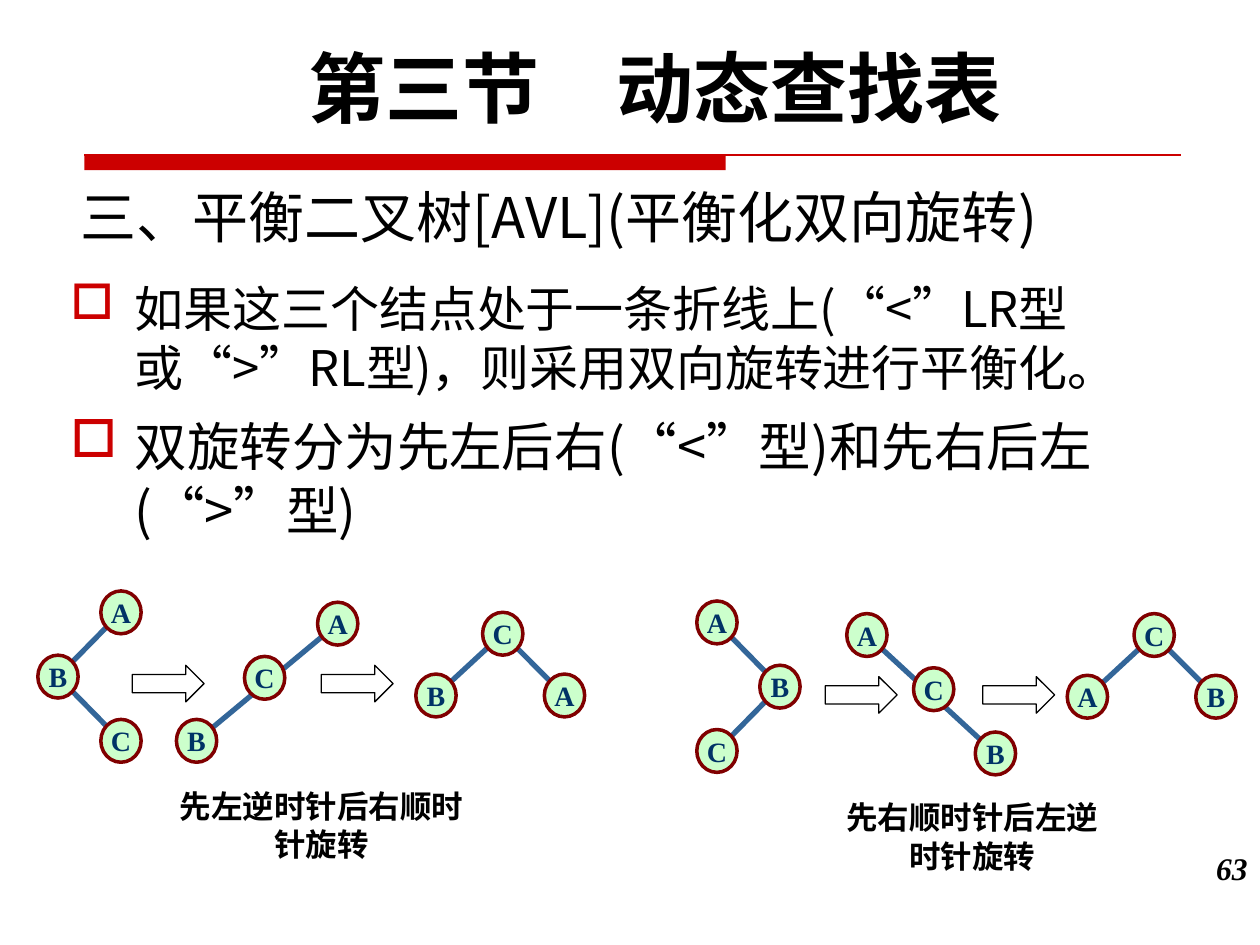
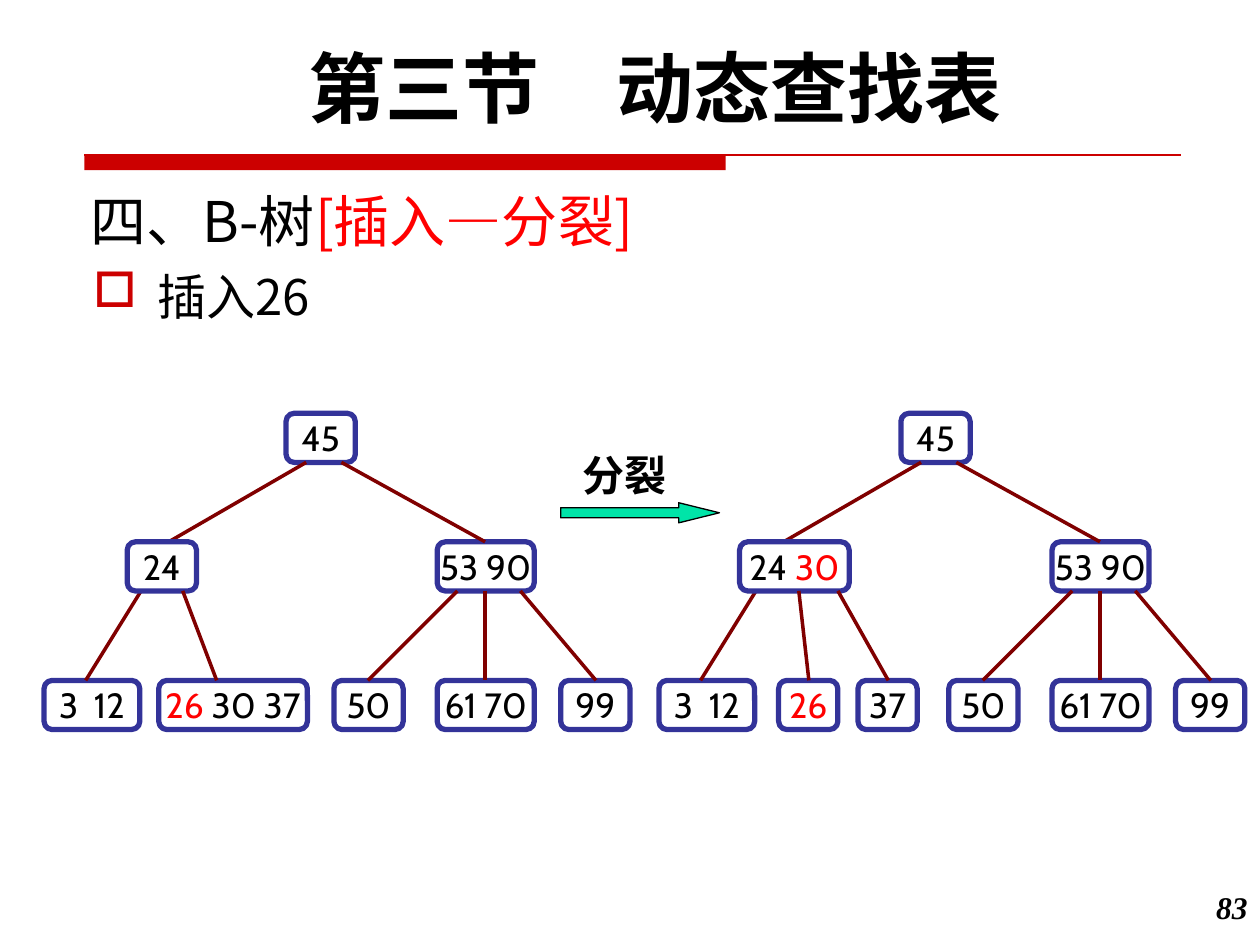
from itertools import groupby
from math import hypot

from lxml import etree
from pptx import Presentation
from pptx.dml.color import RGBColor
from pptx.enum.shapes import MSO_CONNECTOR, MSO_SHAPE
from pptx.enum.text import MSO_ANCHOR, PP_ALIGN
from pptx.oxml.ns import qn
from pptx.util import Inches, Pt

LEFT, CENTER, RIGHT = PP_ALIGN.LEFT, PP_ALIGN.CENTER, PP_ALIGN.RIGHT
TOP, MIDDLE, BOTTOM = MSO_ANCHOR.TOP, MSO_ANCHOR.MIDDLE, MSO_ANCHOR.BOTTOM
OVAL, ARROW = MSO_SHAPE.OVAL, MSO_SHAPE.RIGHT_ARROW
RECT, ROUND = MSO_SHAPE.RECTANGLE, MSO_SHAPE.ROUNDED_RECTANGLE
STRAIGHT = MSO_CONNECTOR.STRAIGHT

# Shared fonts and colours
SANS, SERIF, LABEL = "Noto Sans CJK SC", "Times New Roman", "Cabin"
BLACK, RED, BAND = "000000", "FF0000", "CC0000"
MAROON, MINT, NAVY = "800000", "CCFFCC", "003366"
STEEL, INDIGO, GREEN = "336699", "333399", "00E4A8"

# B-tree rows: top of each level, box height
LEVELS, BOX = (3.28, 4.3, 5.4), 0.39


def color(code):
    return RGBColor.from_string(code)


# Text
def write(par, parts, size, font=SANS, bold=False, italic=False,
          align=LEFT, ratio=None):
    """Fill a paragraph from (text, colour) parts; quotes are set in serif."""
    par.alignment = align
    if ratio:
        par.line_spacing = Pt(round(size * ratio, 1))
    for text, tint in parts:
        for quote, chars in groupby(text, lambda c: c in "“”"):
            run = par.add_run()
            run.text = "".join(chars)
            face = run.font
            face.size, face.bold, face.italic = Pt(size), bold, italic
            face.color.rgb = color(tint)
            face.name = SERIF if quote else font
            east = etree.SubElement(run._r.get_or_add_rPr(), qn("a:ea"))
            east.set("typeface", SANS)


def bullet(par):
    props = par._p.get_or_add_pPr()
    props.set("marL", str(Inches(0.51)))
    props.set("indent", str(Inches(-0.51)))
    tint = etree.SubElement(props, qn("a:buClr"))
    etree.SubElement(tint, qn("a:srgbClr")).set("val", BAND)
    etree.SubElement(props, qn("a:buChar")).set("char", "□")


def frame(slide, at, anchor=TOP):
    box = slide.shapes.add_textbox(*map(Inches, at)).text_frame
    box.word_wrap = True
    box.vertical_anchor = anchor
    return box


def label(slide, at, text, size, font=LABEL, ratio=1.22):
    write(frame(slide, at).paragraphs[0], [(text, BLACK)], size, font,
          bold=True, align=CENTER, ratio=ratio)


def heading(slide, at, parts):
    box = frame(slide, at, BOTTOM)
    box.margin_bottom = 0
    write(box.paragraphs[0], parts, 32, ratio=1.22)


def points(slide, at, items):
    box = frame(slide, at)
    for i, (text, size) in enumerate(items):
        par = box.add_paragraph() if i else box.paragraphs[0]
        bullet(par)
        if i:
            par.space_before = Pt(size * 0.3)
        write(par, [(text, BLACK)], size, ratio=1.22)


# Shapes
def shape(slide, kind, at, fill=None, line=None, width=0.75):
    item = slide.shapes.add_shape(kind, *map(Inches, at))
    item.shadow.inherit = False
    if fill:
        item.fill.solid()
        item.fill.fore_color.rgb = color(fill)
    else:
        item.fill.background()
    if line:
        item.line.color.rgb = color(line)
        item.line.width = Pt(width)
    else:
        item.line.fill.background()
    return item


def link(slide, start, end, tint, width):
    wire = slide.shapes.add_connector(STRAIGHT, *map(Inches, start + end))
    wire.line.color.rgb = color(tint)
    wire.line.width = Pt(width)
    etree.SubElement(wire._element.spPr, qn("a:effectLst"))


def caption(item, parts, size, font, bold=False):
    box = item.text_frame
    box.word_wrap = False
    box.vertical_anchor = MIDDLE
    write(box.paragraphs[0], parts, size, font, bold, align=CENTER)


# Slide base: section title, red band, page number
def base(deck, number, top):
    slide = deck.slides.add_slide(deck.slide_layouts[6])
    shape(slide, RECT, (0.67, 1.23, 5.09, 0.12), BAND)
    link(slide, (0.67, 1.23), (9.37, 1.23), BAND, 0.75)
    label(slide, (0.58, 0.21, 9.25, 0.84), "第三节　动态查找表", 44, ratio=1.3)
    write(frame(slide, (9.33, top, 0.67, 0.5)).paragraphs[0],
          [(number, BLACK)], 18, SERIF, True, True, RIGHT)
    return slide


# AVL tree: round nodes given by centre, edges as letter pairs
def tree(slide, nodes, edges):
    for a, b in edges:
        (x1, y1), (x2, y2) = nodes[a], nodes[b]
        trim = 0.12 / hypot(x2 - x1, y2 - y1)
        dx, dy = (x2 - x1) * trim, (y2 - y1) * trim
        link(slide, (x1 + dx, y1 + dy), (x2 - dx, y2 - dy), STEEL, 3)
    for name, (x, y) in nodes.items():
        node = shape(slide, OVAL, (x - 0.16, y - 0.17, 0.32, 0.34),
                     MINT, MAROON, 2)
        caption(node, [(name, NAVY)], 16, SERIF, True)


# B-tree parts
def keys(slide, level, left, width, *parts):
    box = shape(slide, ROUND, (left, LEVELS[level], width, BOX),
                line=INDIGO, width=3)
    caption(box, parts, 20, LABEL)


def branch(slide, level, x1, x2):
    link(slide, (x1, LEVELS[level] + BOX), (x2, LEVELS[level + 1]), MAROON, 2)


def trunk(slide, dx):
    """Draw the nodes and branches that the split leaves unchanged."""
    for level, left, width, text in (
            (0, 2.27, 0.55, "45"), (1, 3.47, 0.77, "53 90"),
            (2, 0.35, 0.76, "3  12"), (2, 2.65, 0.55, "50"),
            (2, 3.47, 0.77, "61 70"), (2, 4.45, 0.55, "99")):
        keys(slide, level, left + dx, width, (text, BLACK))
    for level, x1, x2 in (
            (0, 2.43, 1.34), (0, 2.71, 3.85), (1, 1.12, 0.68),
            (1, 3.63, 2.92), (1, 3.85, 3.85), (1, 4.13, 4.73)):
        branch(slide, level, x1 + dx, x2 + dx)


def avl(deck):
    slide = base(deck, "63", 6.69)
    heading(slide, (0.54, 1.23, 8.33, 0.75),
            [("三、平衡二叉树[AVL](平衡化双向旋转)", BLACK)])
    points(slide, (0.46, 2.15, 9.58, 2.27), [
        ("如果这三个结点处于一条折线上(“<”LR型或“>”RL型)，"
         "则采用双向旋转进行平衡化。", 28),
        ("双旋转分为先左后右(“<”型)和先右后左(“>”型)", 30)])

    # Left-right rotation
    tree(slide, {"A": (0.96, 4.86), "B": (0.46, 5.37), "C": (0.96, 5.88)},
         ("AB", "BC"))
    tree(slide, {"A": (2.68, 4.95), "B": (1.56, 5.88), "C": (2.1, 5.38)},
         ("AB",))
    tree(slide, {"C": (3.99, 5.03), "B": (3.46, 5.52), "A": (4.48, 5.52)},
         ("CA", "CB"))
    label(slide, (1.3, 6.19, 2.5, 0.71), "先左逆时针后右顺时针旋转", 18, SERIF)

    # Right-left rotation
    tree(slide, {"A": (5.69, 4.94), "B": (6.19, 5.45), "C": (5.69, 5.96)},
         ("AB", "BC"))
    tree(slide, {"A": (6.88, 5.04), "B": (7.9, 5.98), "C": (7.41, 5.47)},
         ("AB",))
    tree(slide, {"C": (9.16, 5.04), "A": (8.63, 5.53), "B": (9.65, 5.53)},
         ("CA", "CB"))
    label(slide, (6.55, 6.28, 2.33, 0.71), "先右顺时针后左逆时针旋转", 18, SERIF)

    # Step arrows
    for x, y in ((1.05, 5.28), (2.55, 5.28), (6.55, 5.37), (7.8, 5.37)):
        shape(slide, ARROW, (x, y, 0.57, 0.29), line=BLACK)


def split(deck):
    slide = base(deck, "83", 7)
    heading(slide, (0.62, 1.1, 6.83, 0.91),
            [("四、B-树", BLACK), ("[插入—分裂]", RED)])
    points(slide, (0.64, 2.06, 9.58, 2.24), [("插入26", 28)])

    # Before the split
    trunk(slide, 0)
    keys(slide, 1, 1.01, 0.55, ("24", BLACK))
    keys(slide, 2, 1.26, 1.18, ("26", RED), (" 30 37", BLACK))
    branch(slide, 1, 1.45, 1.72)

    # After the split
    trunk(slide, 4.88)
    keys(slide, 1, 5.87, 0.87, ("24 ", BLACK), ("30", RED))
    keys(slide, 2, 6.18, 0.47, ("26", RED))
    keys(slide, 2, 6.81, 0.47, ("37", BLACK))
    branch(slide, 1, 6.34, 6.42)
    branch(slide, 1, 6.65, 7.05)

    # Arrow between the trees
    arrow = shape(slide, ARROW, (4.45, 3.99, 1.26, 0.16), GREEN, BLACK)
    arrow.adjustments[1] = 2.02
    label(slide, (4.45, 3.51, 1.02, 0.5), "分裂", 24)


def main():
    deck = Presentation()
    deck.slide_width, deck.slide_height = Inches(10), Inches(7.5)
    avl(deck)
    split(deck)
    deck.save("out.pptx")


if __name__ == "__main__":
    main()
